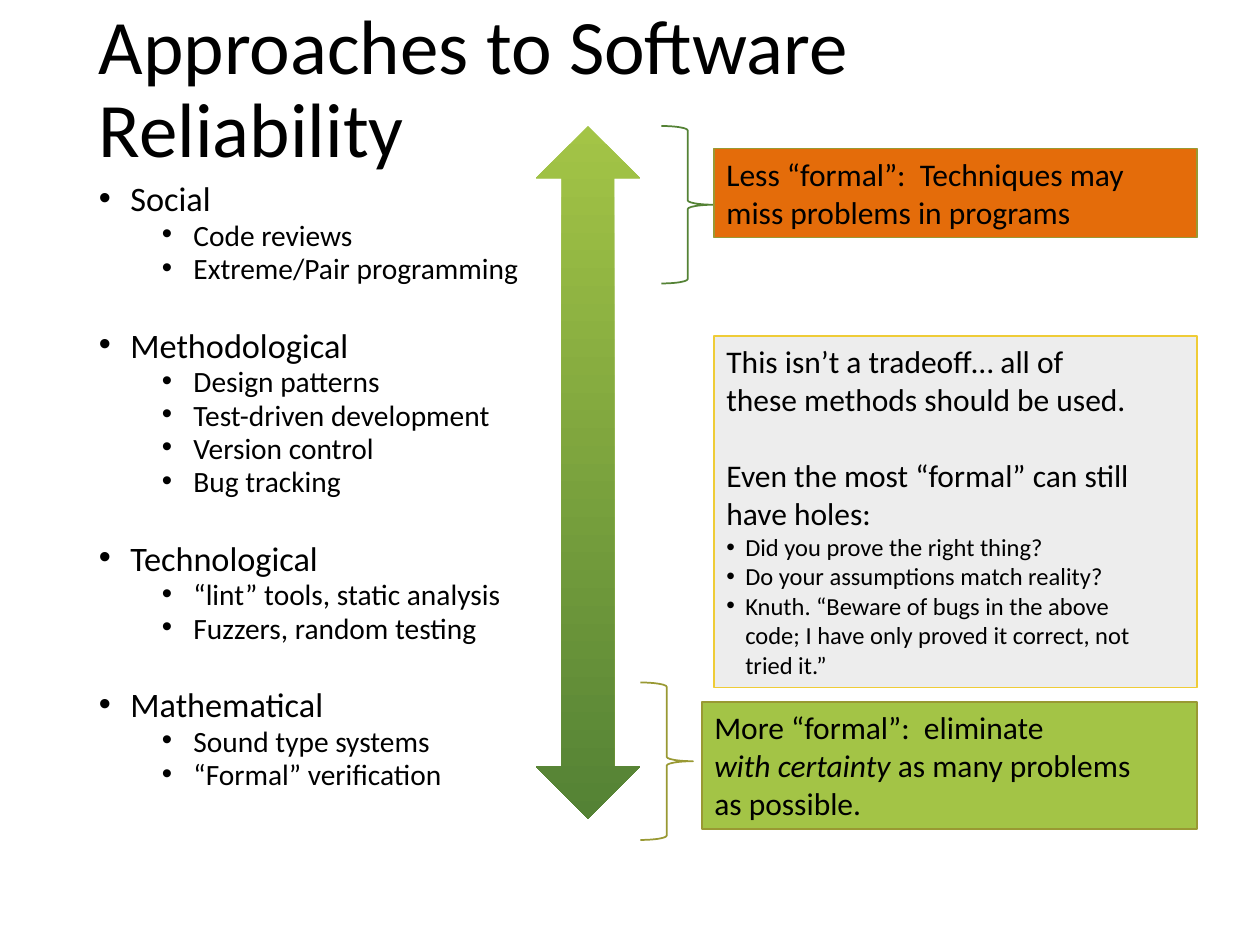
from lxml import etree
from pptx import Presentation
from pptx.dml.color import RGBColor
from pptx.enum.shapes import MSO_SHAPE
from pptx.enum.text import MSO_ANCHOR, PP_ALIGN
from pptx.oxml.ns import qn
from pptx.util import Inches, Pt

RECT, BRACE = MSO_SHAPE.RECTANGLE, MSO_SHAPE.RIGHT_BRACE
ARROW = MSO_SHAPE.UP_DOWN_ARROW
TOP, MIDDLE, LEFT = MSO_ANCHOR.TOP, MSO_ANCHOR.MIDDLE, PP_ALIGN.LEFT
CELL = Inches(1) / 12
FONT = "Calibri"
COLORS = {
    "text": "000000", "lime": "A3C446", "green": "548235", "olive": "999933",
    "orange": "E46C0A", "gray": "EDEDED", "gold": "EFCC37",
}
APPROACHES = {
    "Social": ["Code reviews", "Extreme/Pair programming"],
    "Methodological": ["Design patterns", "Test-driven development",
                       "Version control", "Bug tracking"],
    "Technological": ["“lint” tools, static analysis", "Fuzzers, random testing"],
    "Mathematical": ["Sound type systems", "“Formal” verification"],
}
HOLES = [
    "Did you prove the right thing?",
    "Do your assumptions match reality?",
    "Knuth. “Beware of bugs in the above\ncode; I have only proved it correct, not\ntried it.”",
]


def color(name):
    """Return the named colour."""
    return RGBColor.from_string(COLORS[name])


def emu(box):
    """Turn columns and rows of the grid into lengths."""
    return [round(v * CELL) for v in box]


def add_runs(p, text, size, italic=False):
    """Append text to a paragraph, with a line break at each newline."""
    for i, line in enumerate(text.split("\n")):
        if i:
            p.add_line_break()
        if line:
            r = p.add_run()
            r.text = line
            r.font.name, r.font.size, r.font.italic = FONT, Pt(size), italic
            r.font.color.rgb = color("text")


def add_text(tf, text, size=18, before=0, spacing=1.0, margin=0, hang=0, level=0):
    """Add a formatted paragraph, bulleted when it has a hanging indent."""
    first = not tf.paragraphs[0].runs
    p = tf.paragraphs[0] if first else tf.add_paragraph()
    if hang:
        pPr = p._p.get_or_add_pPr()
        pPr.set("marL", str(Inches(margin)))
        pPr.set("indent", str(-Inches(hang)))
        etree.SubElement(pPr, qn("a:buFont")).set("typeface", "Arial")
        etree.SubElement(pPr, qn("a:buChar")).set("char", "•")
    p.level, p.alignment, p.line_spacing = level, LEFT, spacing
    p.space_before = Pt(0 if first else before)
    add_runs(p, text, size)
    return p


def add_box(s, box, anchor=TOP):
    """Add a wrapping text box and return its text frame."""
    tf = s.shapes.add_textbox(*emu(box)).text_frame
    tf.word_wrap, tf.vertical_anchor = True, anchor
    return tf


def add_shape(s, kind, box, fill=None, line=None, width=0.75):
    """Add a preset shape without shadow."""
    sp = s.shapes.add_shape(kind, *emu(box))
    sp.shadow.inherit = False
    if fill:
        sp.fill.solid()
        sp.fill.fore_color.rgb = color(fill)
    else:
        sp.fill.background()
    if line:
        sp.line.color.rgb = color(line)
        sp.line.width = Pt(width)
    else:
        sp.line.fill.background()
    return sp


def add_panel(s, box, fill, line):
    """Add a filled panel and return its text frame."""
    tf = add_shape(s, RECT, box, fill, line).text_frame
    tf.word_wrap, tf.vertical_anchor = True, TOP
    return tf


def add_title(s, box):
    """Place the slide title."""
    add_text(add_box(s, box, MIDDLE), "Approaches to Software Reliability",
             size=44, spacing=0.9)


def add_approaches(s, box):
    """Place the two-level list of approaches."""
    tf = add_box(s, box)
    for group, items in APPROACHES.items():
        add_text(tf, group, size=19.6, before=29, spacing=0.7, margin=0.25, hang=0.25)
        for item in items:
            add_text(tf, item, size=16.8, before=5, spacing=0.7,
                     margin=0.75, hang=0.25, level=1)


def add_scale(s, box):
    """Place the gradient arrow from less to more formal."""
    sp = add_shape(s, ARROW, box)
    sp.fill.gradient()
    sp.fill.gradient_angle = 270
    for stop, name, position in zip(sp.fill.gradient_stops, ("lime", "green"), (0, 1)):
        stop.color.rgb = color(name)
        stop.position = position


def add_less_formal(s, box):
    """Place the brace and note at the less formal end."""
    x, y, w, h = box
    add_shape(s, BRACE, (x, y, 5, h), line="green", width=1)
    tf = add_panel(s, (x + 5, y + 2.15, w - 5, 8.5), "orange", "olive")
    add_text(tf, "Less “formal”:  Techniques may\nmiss problems in programs")


def add_caveats(s, box):
    """Place the note on combining the methods."""
    tf = add_panel(s, box, "gray", "gold")
    add_text(tf, "This isn’t a tradeoff… all of\nthese methods should be used.")
    add_text(tf, "Even the most “formal” can still\nhave holes:", before=22)
    for hole in HOLES:
        add_text(tf, hole, size=14, margin=0.15, hang=0.15)


def add_more_formal(s, box):
    """Place the brace and note at the more formal end."""
    x, y, w, h = box
    add_shape(s, BRACE, (x, y, 5, h), line="olive", width=1)
    tf = add_panel(s, (x + 5.85, y + 1.85, w - 5.85, 12.1), "lime", "olive")
    p = add_text(tf, "More “formal”:  eliminate\n")
    add_runs(p, "with certainty ", 18, italic=True)
    add_runs(p, "as many problems\nas possible.", 18)


def main():
    """Build and save the slide."""
    prs = Presentation()
    prs.slide_width, prs.slide_height = Inches(10), Inches(7.5)
    s = prs.slides.add_slide(prs.slide_layouts[6])
    add_title(s, (8.25, 0, 103.5, 17.4))
    add_approaches(s, (8.25, 17.4, 103.5, 63.7))
    add_more_formal(s, (61, 65, 53, 15))
    add_scale(s, (51, 12, 10, 66))
    add_less_formal(s, (63, 12, 51, 15))
    add_caveats(s, (68, 32, 46, 33.5))
    prs.save("out.pptx")


if __name__ == "__main__":
    main()
